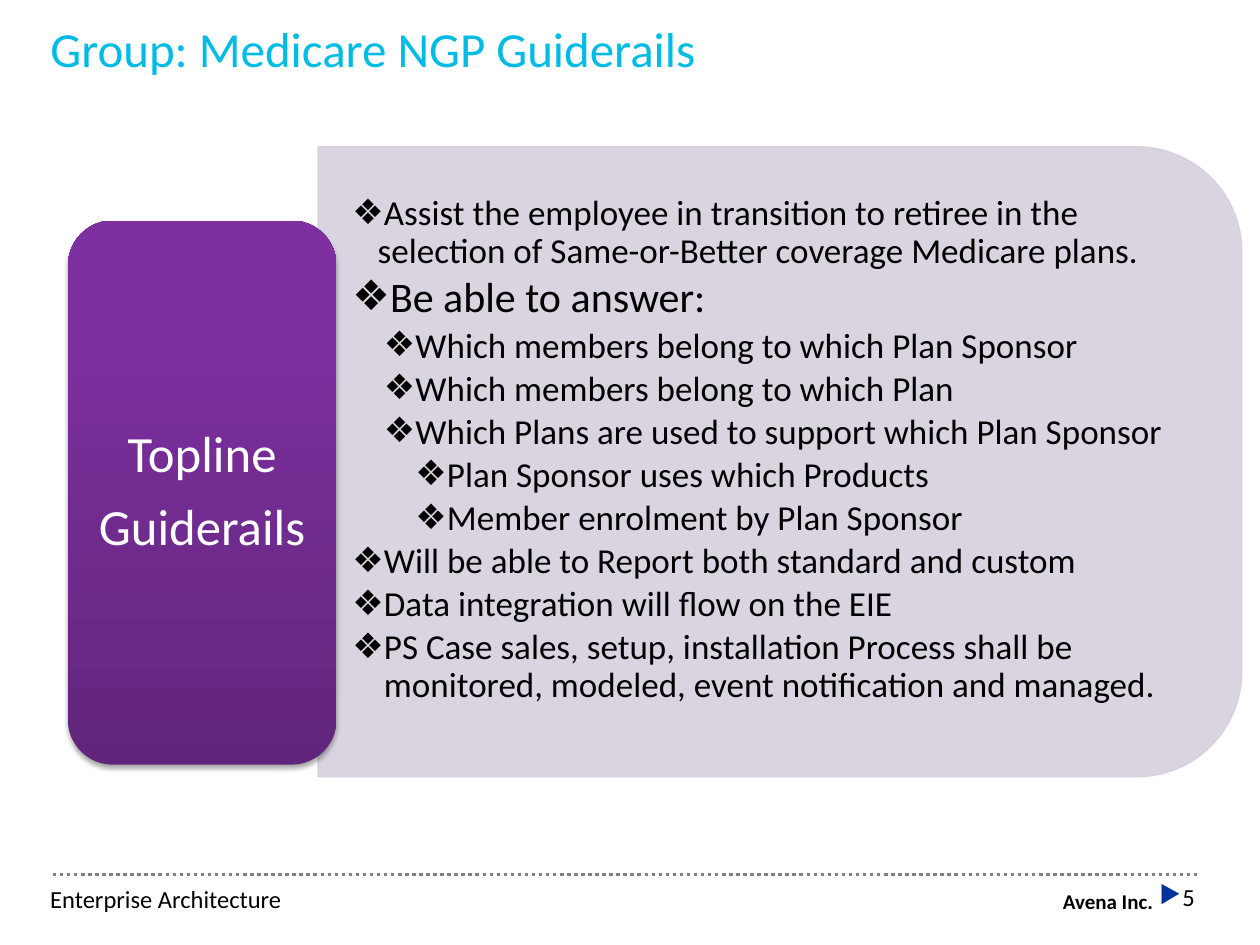
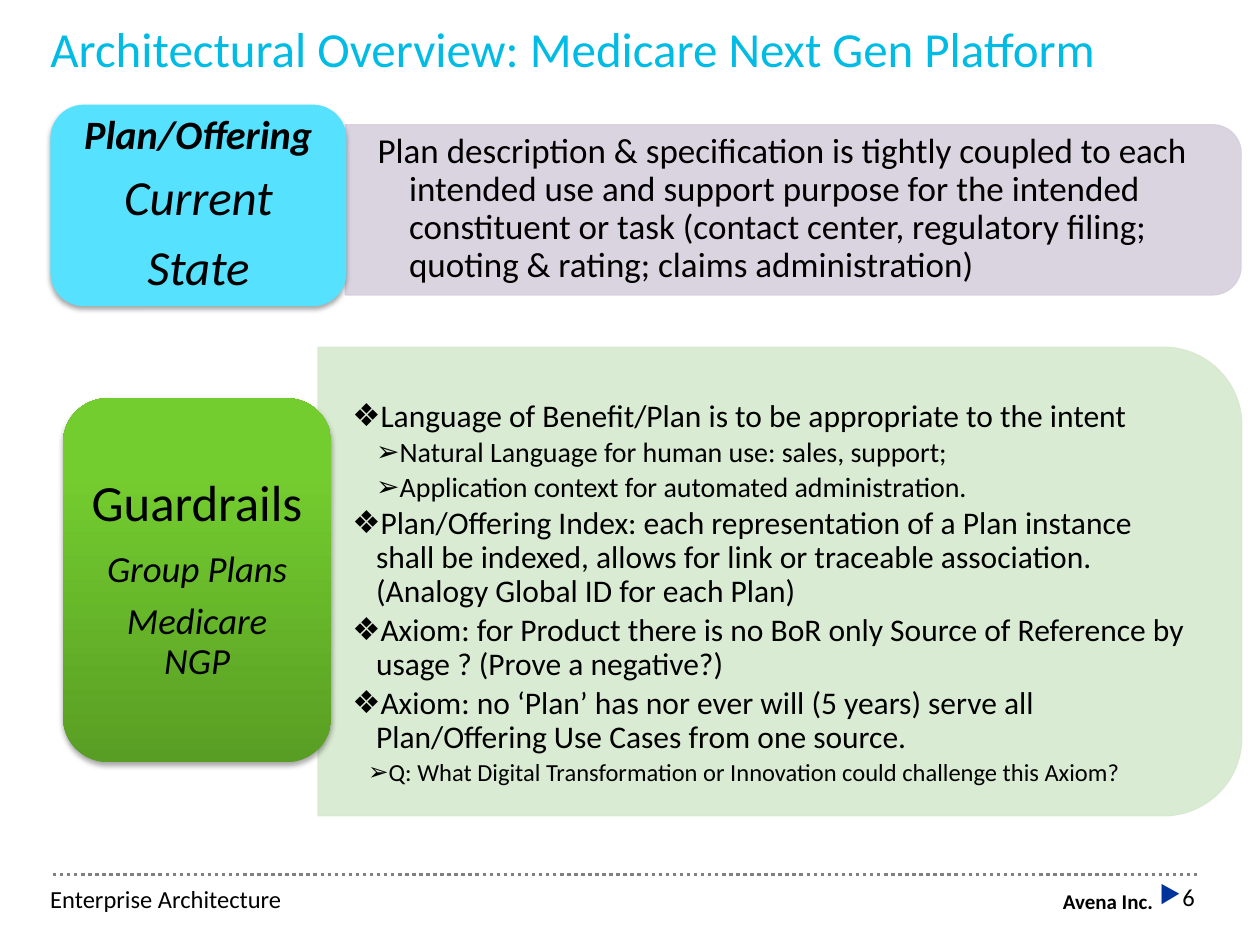
from dataclasses import dataclass, field
from typing import Any

from lxml.etree import SubElement
from pptx import Presentation
from pptx.dml.color import RGBColor
from pptx.enum.dml import MSO_LINE
from pptx.enum.shapes import MSO_CONNECTOR, MSO_SHAPE
from pptx.enum.text import MSO_ANCHOR, MSO_AUTO_SIZE, PP_ALIGN
from pptx.oxml.ns import qn
from pptx.util import Pt

FONT = "Calibri"
COLORS = {
    "title": "00BCE4",
    "text": "000000",
    "white": "FFFFFF",
    "rule": "808080",
    "marker": "003399",
    "lilac": "D7CFDD",
    "mint": "D7E9CF",
    "sky": "56E1FF",
    "purple_dark": "61257B",
    "purple": "7E30A0",
    "green_dark": "599E24",
    "green": "74CD2F",
}


@dataclass(frozen=True)
class Rect:
    left: float
    top: float
    width: float
    height: float

    def lengths(self) -> tuple[Pt, Pt, Pt, Pt]:
        return Pt(self.left), Pt(self.top), Pt(self.width), Pt(self.height)


@dataclass(frozen=True)
class Line:
    text: str
    size: float
    color: str = "text"
    bold: bool = False
    italic: bool = False
    level: int = 0
    margin: float = 0
    hanging: float = 0
    bullet: str = ""
    bullet_color: str = ""
    align: PP_ALIGN = PP_ALIGN.LEFT
    spacing: float = 0.9
    after: float = 0


@dataclass(frozen=True)
class TextFrameStyle:
    side: float = 7.2
    edge: float = 3.6
    anchor: MSO_ANCHOR = MSO_ANCHOR.TOP


@dataclass(frozen=True)
class Panel:
    rect: Rect
    color: str
    text_rect: Rect
    lines: list[Line]
    is_body: bool = True


@dataclass(frozen=True)
class Tile:
    rect: Rect
    colors: tuple[str, ...]
    lines: list[Line]
    style: TextFrameStyle = field(
        default_factory=lambda: TextFrameStyle(8.6, 4.3, MSO_ANCHOR.MIDDLE))


@dataclass(frozen=True)
class Page:
    number: int
    title: str
    groups: list[tuple[Panel, Tile]]


PLAIN = TextFrameStyle()
PANEL_STYLE = TextFrameStyle(19.2, 10, MSO_ANCHOR.MIDDLE)
TITLE_RECT = Rect(21.6, 12.2, 661, 90)
DEPARTMENT_RECT = Rect(21.6, 501.8, 506.2, 41)
COMPANY_RECT = Rect(552.2, 504, 113.8, 21.6)
NUMBER_RECT = Rect(648, 502.6, 41.8, 37.4)
RULE_LEFT, RULE_RIGHT, RULE_TOP = 30.2, 684, 499.7


def item(text: str, size: float, level: int = 0, margin: float = 14.4,
         hanging: float = 14.4, bullet: str = "❖") -> Line:
    return Line(text, size, level=level, margin=margin, hanging=hanging,
                bullet=bullet, after=0.15 * size)


def arrow(text: str, size: float, margin: float = 27, hanging: float = 13.5) -> Line:
    return item(text, size, 1, margin, hanging, "➢")


def label(text: str, size: float, **style: Any) -> Line:
    return Line(text, size, align=PP_ALIGN.CENTER, after=0.35 * size, **style)


def rgb(name: str) -> RGBColor:
    return RGBColor.from_string(COLORS[name])


def apply(target: Any, values: dict[str, Any]) -> None:
    for name, value in values.items():
        setattr(target, name, value)


def add_bullet(para: Any, line: Line) -> None:
    properties = para._p.get_or_add_pPr()
    properties.set("marL", str(Pt(line.margin)))
    properties.set("indent", str(Pt(-line.hanging)))
    if not line.bullet:
        SubElement(properties, qn("a:buNone"))
        return
    if line.bullet_color:
        color = SubElement(properties, qn("a:buClr"))
        SubElement(color, qn("a:srgbClr"), val=COLORS[line.bullet_color])
    SubElement(properties, qn("a:buChar"), char=line.bullet)


def write(box: Any, lines: list[Line], style: TextFrameStyle = PLAIN) -> None:
    frame = box.text_frame
    apply(frame, {
        "word_wrap": True,
        "auto_size": MSO_AUTO_SIZE.NONE,
        "vertical_anchor": style.anchor,
        "margin_left": Pt(style.side),
        "margin_right": Pt(style.side),
        "margin_top": Pt(style.edge),
        "margin_bottom": Pt(style.edge),
    })
    for index, line in enumerate(lines):
        para = frame.add_paragraph() if index else frame.paragraphs[0]
        add_bullet(para, line)
        apply(para, {
            "level": line.level,
            "alignment": line.align,
            "line_spacing": line.spacing,
            "space_before": Pt(0),
            "space_after": Pt(line.after),
        })
        span = para.add_run()
        span.text = line.text
        apply(span.font, {"name": FONT, "size": Pt(line.size),
                          "bold": line.bold, "italic": line.italic})
        span.font.color.rgb = rgb(line.color)


def place(box: Any, rect: Rect) -> None:
    apply(box, dict(zip(("left", "top", "width", "height"), rect.lengths())))


def add_text(slide: Any, rect: Rect, lines: list[Line],
             style: TextFrameStyle = PLAIN) -> None:
    write(slide.shapes.add_textbox(*rect.lengths()), lines, style)


def add_panel(slide: Any, panel: Panel) -> None:
    rect = panel.rect
    shift = (rect.width - rect.height) / 2
    upright = Rect(rect.left + shift, rect.top - shift, rect.height, rect.width)
    shape = slide.shapes.add_shape(MSO_SHAPE.ROUND_2_SAME_RECTANGLE, *upright.lengths())
    shape.rotation = 90
    shape.shadow.inherit = False
    shape.fill.solid()
    shape.fill.fore_color.rgb = rgb(panel.color)
    shape.line.color.rgb = rgb(panel.color)
    shape.line.width = Pt(0.75)
    for color in shape.element.spPr.iter(qn("a:srgbClr")):
        SubElement(color, qn("a:alpha"), val="90000")
    if panel.is_body:
        body = slide.placeholders[1]
        shape.element.addnext(body.element)
        place(body, panel.text_rect)
        write(body, panel.lines, PANEL_STYLE)
    else:
        add_text(slide, panel.text_rect, panel.lines, PANEL_STYLE)


def add_tile(slide: Any, tile: Tile) -> None:
    shape = slide.shapes.add_shape(MSO_SHAPE.ROUNDED_RECTANGLE, *tile.rect.lengths())
    if len(tile.colors) == 1:
        shape.fill.solid()
        shape.fill.fore_color.rgb = rgb(tile.colors[0])
    else:
        shape.fill.gradient()
        shape.fill.gradient_angle = 90
        for stop, color, position in zip(shape.fill.gradient_stops, tile.colors, (0, 0.8)):
            stop.color.rgb = rgb(color)
            stop.position = position
    shape.line.fill.background()
    shape.shadow.inherit = False
    effects = shape.element.spPr.find(qn("a:effectLst"))
    shadow = SubElement(effects, qn("a:outerShdw"), blurRad=str(Pt(3.1)),
                        dist=str(Pt(1.8)), dir="5400000", rotWithShape="0")
    color = SubElement(shadow, qn("a:srgbClr"), val=COLORS["text"])
    SubElement(color, qn("a:alpha"), val="35000")
    write(shape, tile.lines, tile.style)


def add_footer(slide: Any, number: int) -> None:
    rule = slide.shapes.add_connector(MSO_CONNECTOR.STRAIGHT, Pt(RULE_LEFT), Pt(RULE_TOP),
                                      Pt(RULE_RIGHT), Pt(RULE_TOP))
    rule.line.color.rgb = rgb("rule")
    apply(rule.line, {"width": Pt(2), "dash_style": MSO_LINE.ROUND_DOT})
    SubElement(rule.element.spPr, qn("a:effectLst"))
    add_text(slide, COMPANY_RECT, [
        Line("Avena Inc.", 12, bold=True, align=PP_ALIGN.RIGHT, spacing=1.0)])
    add_text(slide, DEPARTMENT_RECT, [Line("Enterprise Architecture", 14, spacing=1.0)])
    add_text(slide, NUMBER_RECT, [
        Line(str(number), 14, bullet="▶", bullet_color="marker", align=PP_ALIGN.RIGHT)])


def add_page(deck: Any, page: Page) -> None:
    slide = deck.slides.add_slide(deck.slide_layouts[1])
    place(slide.shapes.title, TITLE_RECT)
    write(slide.shapes.title, [Line(page.title, 28, "title", spacing=0.85)])
    add_footer(slide, page.number)
    for panel, tile in page.groups:
        add_panel(slide, panel)
        add_tile(slide, tile)


TOPLINE_ITEMS = [
    item("Assist the employee in transition to retiree in the selection of "
         "Same-or-Better coverage Medicare plans.", 20),
    item("Be able to answer:", 24),
    *(item(text, 20, level, 18 * (level + 1), 18) for level, text in (
        (1, "Which members belong to which Plan Sponsor"),
        (1, "Which members belong to which Plan"),
        (1, "Which Plans are used to support which Plan Sponsor"),
        (2, "Plan Sponsor uses which Products"),
        (2, "Member enrolment by Plan Sponsor"),
        (0, "Will be able to Report both standard and custom"),
        (0, "Data integration will flow on the EIE"),
        (0, "PS Case sales, setup, installation Process shall be monitored, "
            "modeled, event notification and managed."),
    )),
]
CURRENT_STATE = [
    item("Plan description & specification is tightly coupled to each intended use and "
         "support purpose for the intended constituent or task (contact center, "
         "regulatory filing; quoting & rating; claims administration)",
         20, 0, 18, 18, ""),
]
GUARDRAIL_ITEMS = [
    item("Language of Benefit/Plan is to be appropriate to the intent", 18, 0, 13.5, 13.5),
    arrow("Natural Language for human use: sales, support;", 16),
    arrow("Application context for automated administration.", 16),
    *(item(text, 18, 0, 13.5, 13.5) for text in (
        "Plan/Offering Index: each representation of a Plan instance shall be indexed, "
        "allows for link or traceable association. (Analogy Global ID for each Plan)",
        "Axiom: for Product there is no BoR only Source of Reference by usage ? "
        "(Prove a negative?)",
        "Axiom: no ‘Plan’ has nor ever will (5 years) serve all Plan/Offering Use Cases "
        "from one source.",
    )),
    arrow("Q: What Digital Transformation or Innovation could challenge this Axiom?",
          14, 18, 9),
]
PAGES = [
    Page(5, "Group: Medicare NGP Guiderails", [
        (Panel(Rect(181.8, 83.9, 527.8, 360), "lilac",
               Rect(182.2, 94.6, 509.8, 325.4), TOPLINE_ITEMS),
         Tile(Rect(38.9, 126, 153.4, 311), ("purple_dark", "purple"),
              [label(text, 29, color="white") for text in ("Topline", "Guiderails")])),
    ]),
    Page(6, "Architectural Overview: Medicare Next Gen Platform", [
        (Panel(Rect(197.3, 71.3, 511.9, 97.2), "lilac",
               Rect(196.6, 75.6, 506.9, 87.8), CURRENT_STATE, is_body=False),
         Tile(Rect(28.8, 59.8, 169.2, 115.2), ("sky",),
              [label("Plan/Offering", 23, bold=True, italic=True),
               label("Current", 28, italic=True),
               label("State", 28, italic=True)],
              TextFrameStyle(7.2, 3.6, MSO_ANCHOR.MIDDLE))),
        (Panel(Rect(181.8, 198.4, 527.8, 267.8), "mint",
               Rect(182.2, 218, 514.1, 241.9), GUARDRAIL_ITEMS),
         Tile(Rect(36, 227.5, 153.4, 208.1), ("green_dark", "green"),
              [label("Guardrails", 29),
               label("Group Plans", 21, italic=True),
               label("Medicare NGP", 21, italic=True)])),
    ]),
]


def main() -> None:
    deck = Presentation()
    apply(deck, {"slide_width": Pt(720), "slide_height": Pt(540)})
    for page in PAGES:
        add_page(deck, page)
    deck.save("out.pptx")


if __name__ == "__main__":
    main()
